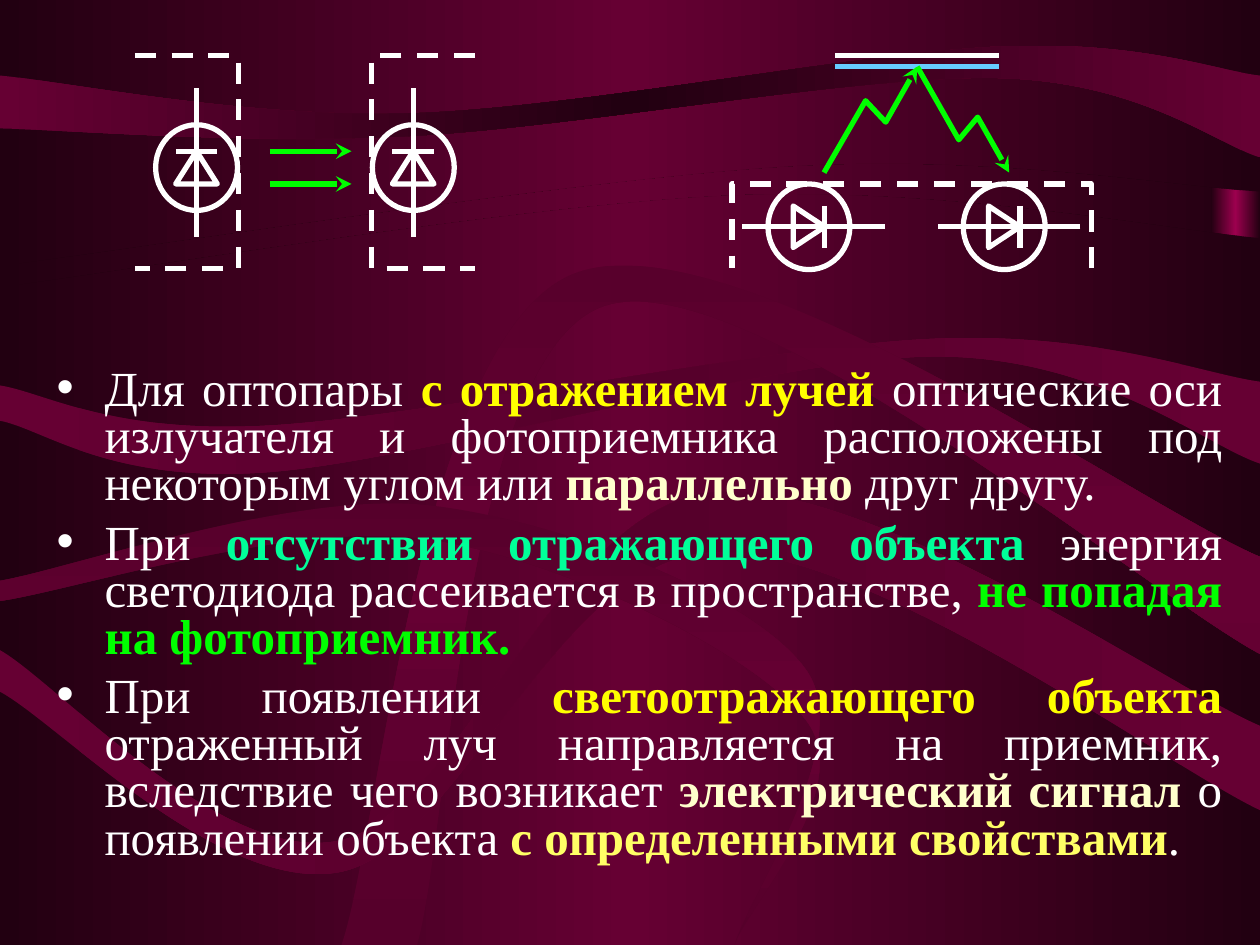
import copy

import pptx
import pptx.dml.color
import pptx.enum.dml
import pptx.enum.shapes
import pptx.enum.text
import pptx.oxml.ns
import pptx.oxml.xmlchemy
import pptx.util

Inches = pptx.util.Inches
RGB = pptx.dml.color.RGBColor
qn = pptx.oxml.ns.qn
OxmlElement = pptx.oxml.xmlchemy.OxmlElement

NIGHT = RGB.from_string("220011")
WINE = RGB.from_string("660033")
PLUM = RGB.from_string("56002B")
MAGENTA = RGB.from_string("9C004E")
WHITE = RGB.from_string("FFFFFF")
GREEN = RGB.from_string("00FF00")
MINT = RGB.from_string("00FF99")
SKY = RGB.from_string("66CCFF")
YELLOW = RGB.from_string("FFFF00")
LEMON = RGB.from_string("FFFF66")
CREAM = RGB.from_string("FFFFCC")

# Background ribbons: edge colour, middle colour, gradient angle,
# then stations (x, upper y, lower y, optional shift of the lower x)
RIBBONS = [
    (NIGHT, WINE, 0, [(0, 0, 2.11), (6.25, 0, 1.32), (10, 0, 1.52)]),
    (NIGHT, WINE, 0, [(0, 2.28, 7.5), (5.86, 1.55, 7.5), (10, 1.89, 7.5)]),
    (WINE, NIGHT, 0, [(0, 0.6, 1.02), (3.25, 0.9, 1.08), (7.93, 0.37, 0.62), (10, 0.6, 1.25)]),
    (WINE, PLUM, 0, [(0, 3.06, 3.34), (2.1, 3.38, 3.75), (7.4, 2.69, 2.83), (10, 3.03, 3.68)]),
    (PLUM, WINE, 90, [(2.71, 7.5, 7.5, 0.6), (4.54, 2.18, 2.43, 0.25), (10, 4.42, 5.19)]),
    (WINE, PLUM, 0, [(0, 5.16, 5.49), (2.7, 6.67, 6.92), (5.63, 3.91, 4.38), (10, 5.76, 6.43)]),
    (PLUM, WINE, 90, [(0, 4.61, 4.77), (3.4, 4.01, 4.28), (6.4, 5.32, 5.72), (5.83, 7.5, 7.5)]),
]

# Each paragraph is a list of (text, colour); coloured words are bold
EXPLANATION = [
    [("Для оптопары ", WHITE), ("с отражением лучей", YELLOW),
     (" оптические оси излучателя и фотоприемника расположены под некоторым углом или ", WHITE),
     ("параллельно", CREAM), (" друг другу. ", WHITE)],
    [("При ", WHITE), ("отсутствии отражающего объекта", MINT),
     (" энергия светодиода рассеивается в пространстве, ", WHITE),
     ("не попадая на фотоприемник. ", GREEN)],
    [("При появлении ", WHITE), ("светоотражающего объекта", YELLOW),
     (" отраженный луч направляется на приемник, вследствие чего возникает ", WHITE),
     ("электрический сигнал", CREAM), (" о появлении объекта ", WHITE),
     ("с определенными свойствами", LEMON), (".", WHITE)],
]


def smooth(points):
    """Bezier segments of a Catmull-Rom curve through the points."""
    padded = [points[0], *points, points[-1]]
    segments = []
    for before, start, end, after in zip(padded, padded[1:], padded[2:], padded[3:]):
        leave = [s + (e - b) / 6 for b, s, e in zip(before, start, end)]
        arrive = [e - (a - s) / 6 for s, e, a in zip(start, end, after)]
        segments.append([leave, arrive, end])
    return segments


class Board:
    font = "Times New Roman"
    size = pptx.util.Pt(28)
    stroke = pptx.util.Pt(3)

    def __init__(self, slide):
        self.slide = slide
        self.shapes = slide.shapes

    def gradient(self, fill, element, edge, middle, angle=0):
        fill.gradient()
        fill.gradient_angle = angle
        stops = next(element.iter(qn("a:gsLst")))
        stops.insert(1, copy.deepcopy(stops[0]))
        for stop, place, color in zip(fill.gradient_stops, (0, 0.5, 1), (edge, middle, edge)):
            stop.position = place
            stop.color.rgb = color

    def outline(self, item, color, dashed=False, arrow=False):
        item.line.color.rgb = color
        item.line.width = self.stroke
        if dashed:
            item.line.dash_style = pptx.enum.dml.MSO_LINE.DASH
        if arrow:
            tip = OxmlElement("a:tailEnd")
            tip.set("type", "stealth")
            item.line._get_or_add_ln().append(tip)

    def line(self, start, end, color=WHITE, arrow=False):
        wire = self.shapes.add_connector(
            pptx.enum.shapes.MSO_CONNECTOR.STRAIGHT, *map(Inches, (*start, *end)))
        self.outline(wire, color, arrow=arrow)
        wire._element.spPr.append(OxmlElement("a:effectLst"))

    def freeform(self, points, close=False):
        emu = [(Inches(x), Inches(y)) for x, y in points]
        builder = self.shapes.build_freeform(*emu[0])
        builder.add_line_segments(emu[1:], close=close)
        shape = builder.convert_to_shape()
        shape.shadow.inherit = False
        return shape

    def polyline(self, points, color=WHITE, close=False, **style):
        shape = self.freeform(points, close)
        shape.fill.background()
        self.outline(shape, color, **style)

    def ribbon(self, edge, middle, angle, stations):
        upper = [(x, top) for x, top, *_ in stations]
        lower = [(x + sum(shift), bottom) for x, _, bottom, *shift in reversed(stations)]
        segments = [*smooth(upper), [lower[0]], *smooth(lower)]
        shape = self.freeform([upper[0], *sum(segments, [])], close=True)
        # Merge the three points of each curve into one Bezier segment
        nodes = iter(list(shape._element.iter(qn("a:lnTo"))))
        for segment in segments:
            parts = [next(nodes) for _ in segment]
            if len(parts) > 1:
                curve = OxmlElement("a:cubicBezTo")
                parts[0].addprevious(curve)
                for part in parts:
                    curve.append(part[0])
                    part.getparent().remove(part)
        self.gradient(shape.fill, shape._element, edge, middle, angle)
        shape.line.fill.background()

    def diode(self, cx, cy, sideways=False):
        def at(across, along):
            return (cx - along * 0.96, cy + across) if sideways else (cx + across, cy + along)

        half = 0.165
        base, apex = 0.13, -0.13
        self.line(at(0, -0.63), at(0, 0.55))
        self.polyline([at(-half, base), at(half, base), at(0, apex)], close=True)
        self.line(at(-half, apex), at(half, apex))
        ring = self.shapes.add_shape(
            pptx.enum.shapes.MSO_SHAPE.OVAL,
            *map(Inches, (cx - 0.325, cy - 0.34, 0.65, 0.68)))
        ring.shadow.inherit = False
        ring.fill.background()
        self.outline(ring, WHITE)

    def bullets(self, body, paragraphs):
        frame = body.text_frame
        frame.auto_size = pptx.enum.text.MSO_AUTO_SIZE.NONE
        for index, pieces in enumerate(paragraphs):
            item = frame.add_paragraph() if index else frame.paragraphs[0]
            item.alignment = pptx.enum.text.PP_ALIGN.JUSTIFY
            item.line_spacing = 0.8
            item.space_before = pptx.util.Pt(7 if index else 0)
            props = item._p.get_or_add_pPr()
            props.set("marL", str(Inches(0.38)))
            props.set("indent", str(-Inches(0.38)))
            tint = OxmlElement("a:buClr")
            value = OxmlElement("a:srgbClr")
            value.set("val", str(WHITE))
            tint.append(value)
            mark = OxmlElement("a:buChar")
            mark.set("char", "•")
            props.extend([tint, mark])
            for text, color in pieces:
                run = item.add_run()
                run.text = text
                run.font.name, run.font.size = self.font, self.size
                run.font.bold = color != WHITE
                run.font.color.rgb = color


def main():
    deck = pptx.Presentation()
    deck.slide_width, deck.slide_height = Inches(10), Inches(7.5)
    slide = deck.slides.add_slide(deck.slide_layouts[1])
    board = Board(slide)
    title, body = slide.shapes.title, slide.placeholders[1]
    title._element.getparent().remove(title._element)

    # Background
    board.gradient(slide.background.fill, slide._element, NIGHT, WINE)
    glow = slide.shapes.add_shape(
        pptx.enum.shapes.MSO_SHAPE.RECTANGLE, *map(Inches, (9.61, 0.49, 0.39, 3.45)))
    glow.shadow.inherit = False
    board.gradient(glow.fill, glow._element, NIGHT, MAGENTA)
    glow.line.fill.background()
    for ribbon in RIBBONS:
        board.ribbon(*ribbon)

    # Explanation, brought in front of the ribbons
    body.left, body.top, body.width, body.height = map(Inches, (0.35, 2.88, 9.45, 4.41))
    slide.shapes._spTree.append(body._element)
    board.bullets(body, EXPLANATION)

    # Direct optocoupler: emitter, two rays, receiver
    top, bottom = 0.44, 2.13
    for center, outer, inner in ((3.28, 3.77, 2.95), (1.56, 1.07, 1.89)):
        board.diode(center, 1.33)
        board.polyline([(outer, top), (inner, top), (inner, bottom), (outer, bottom)], dashed=True)
    for y in (1.2, 1.46):
        board.line((2.14, y), (2.79, y), GREEN, arrow=True)

    # Reflective optocoupler: diodes, mirror, rays, housing
    for center in (7.97, 6.42):
        board.diode(center, 1.8, sideways=True)
    mirror = 0.53
    for y, color in ((mirror, SKY), (top, WHITE)):
        board.line((6.63, y), (7.93, y), color)
    for ray in ([(6.54, 1.37), (6.87, 0.8), (7.03, 0.97), (7.28, mirror)],
                [(7.28, mirror), (7.61, 1.11), (7.76, 0.93), (8.01, 1.37)]):
        board.polyline(ray, GREEN, arrow=True)
    left, right, lid = 5.81, 8.66, 1.46
    board.polyline([(right, bottom), (right, lid), (left, lid), (left, bottom)], dashed=True)

    deck.save("out.pptx")


if __name__ == "__main__":
    main()
